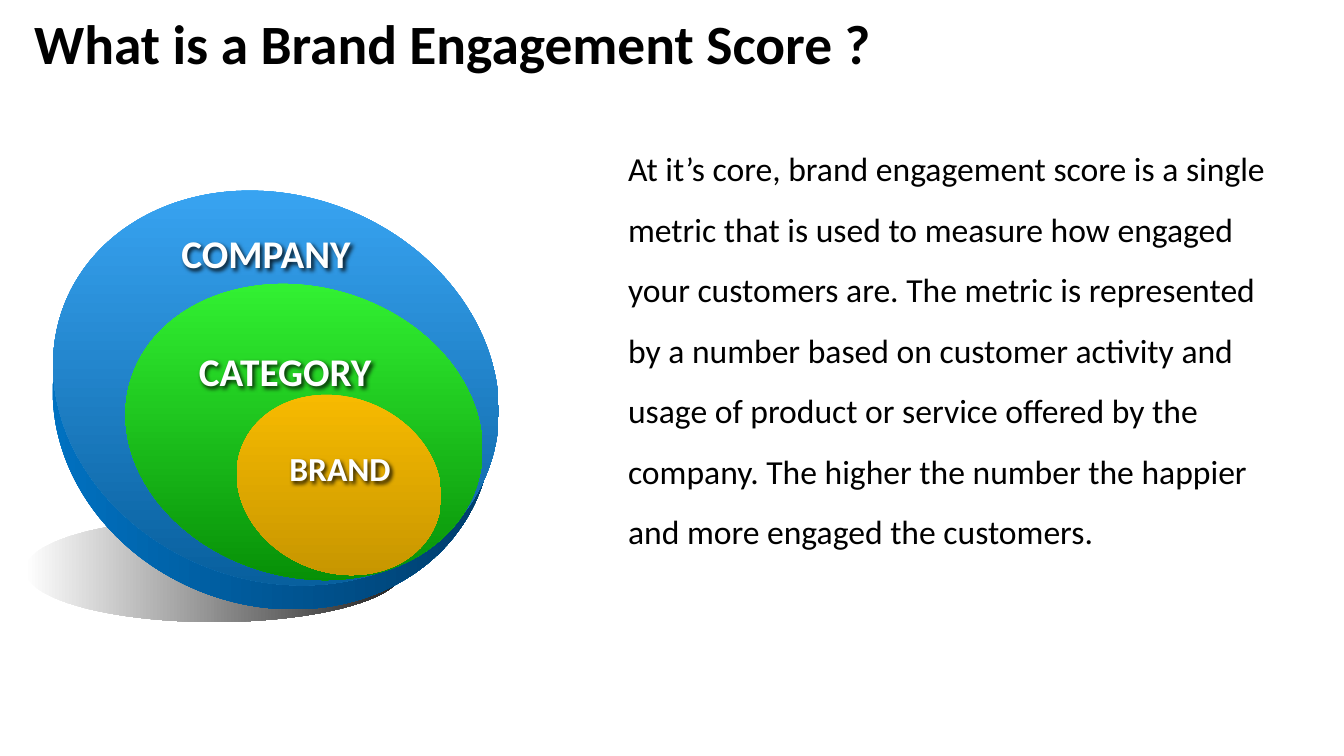
from lxml import etree
from pptx import Presentation
from pptx.dml.color import RGBColor
from pptx.enum.shapes import MSO_SHAPE as Shape
from pptx.enum.text import MSO_ANCHOR as Anchor, MSO_AUTO_SIZE as AutoSize, PP_ALIGN as Align
from pptx.oxml import parse_xml
from pptx.oxml.ns import nsdecls, qn
from pptx.util import Pt

PIXEL = 914400 / 100.8
FONT = "Calibri"
BLACK = RGBColor(0x00, 0x00, 0x00)
WHITE = RGBColor(0xFE, 0xFF, 0xFF)
SHADE = (RGBColor(0xFF, 0xFF, 0xFF), RGBColor(0x20, 0x20, 0x20))
RIM = (RGBColor(0x00, 0x78, 0xCC), RGBColor(0x00, 0x36, 0x60))
BLUE = (RGBColor(0x40, 0xAF, 0xFF), RGBColor(0x00, 0x54, 0x90))
GREEN = (RGBColor(0x38, 0xFE, 0x38), RGBColor(0x01, 0x83, 0x01))
GOLD = (RGBColor(0xFF, 0xC0, 0x00), RGBColor(0xBF, 0x90, 0x00))
LABEL_SHADOW = (
    f'<a:effectLst {nsdecls("a")}><a:outerShdw blurRad="38100" dist="25400" dir="2700000">'
    '<a:srgbClr val="000000"><a:alpha val="80000"/></a:srgbClr></a:outerShdw></a:effectLst>'
)
DEFINITION = (
    "At it’s core, brand engagement score is a single metric that is used to measure "
    "how engaged your customers are. The metric is represented by a number based on "
    "customer activity and usage of product or service offered by the company. The "
    "higher the number the happier and more engaged the customers."
)


def px(value):
    return round(value * PIXEL)


def place(item, box):
    item.left, item.top, item.width, item.height = map(px, box)


def write(item, text, size, color, bold=False, align=Align.LEFT, spacing=1.0):
    frame = item.text_frame
    frame.word_wrap = True
    frame.auto_size = AutoSize.NONE
    para = frame.paragraphs[0]
    para.alignment = align
    para.line_spacing = spacing
    para.space_before = Pt(0)
    span = para.add_run()
    span.text = text
    span.font.size = Pt(size)
    span.font.bold = bold
    span.font.color.rgb = color
    span.font.name = FONT
    return para


def add_ellipse(page, center, size, colors, direction=90, tilt=0):
    (x, y), (width, height) = center, size
    box = (x - width / 2, y - height / 2, width, height)
    ellipse = page.shapes.add_shape(Shape.OVAL, *map(px, box))
    ellipse.shadow.inherit = False
    ellipse.line.fill.background()
    ellipse.rotation = tilt
    ellipse.fill.gradient()
    ellipse.fill.gradient_angle = (tilt - direction) % 360
    for stop, color in zip(ellipse.fill.gradient_stops, colors):
        stop.color.rgb = color


def add_label(page, box, text, size):
    label = page.shapes.add_textbox(*map(px, box))
    write(label, text, size, WHITE, True, Align.CENTER)
    label._element.spPr.append(parse_xml(LABEL_SHADOW))


def add_heading(page, box):
    title = page.shapes.title
    place(title, box)
    title.text_frame.vertical_anchor = Anchor.MIDDLE
    write(title, "What is a Brand Engagement Score ?", 39.6, BLACK, True, spacing=0.9)


def add_definition(page, box):
    body = page.placeholders[1]
    place(body, box)
    para = write(body, DEFINITION, 24, BLACK, spacing=1.5)
    props = para._p.get_or_add_pPr()
    props.set("marL", "0")
    props.set("indent", "0")
    etree.SubElement(props, qn("a:buNone"))


def add_nested_levels(page, box):
    left, top, width, height = box
    add_ellipse(page, (left + 190, top + 379), (378, 104), SHADE, 0)
    discs = [
        ((248, 220), (446, 388), RIM, 0, 22),
        ((252, 197), (455, 384), BLUE, 90, 22),
        ((280, 241), (362, 290), GREEN, 90, 16),
        ((315, 294), (209, 175), GOLD, 90, 22),
    ]
    for (x, y), size, colors, direction, tilt in discs:
        add_ellipse(page, (left + x, top + y), size, colors, direction, tilt)
    labels = [
        ("COMPANY", 91, 33, 302, 57, 28),
        ("CATEGORY", 132, 151, 258, 57, 28),
        ("BRAND", 233, 252, 166, 50, 24),
    ]
    for text, x, y, label_width, label_height, size in labels:
        add_label(page, (left + x, top + y, label_width, label_height), text, size)


deck = Presentation()
deck.slide_width, deck.slide_height = px(1344), px(756)
page = deck.slides.add_slide(deck.slide_layouts[1])
add_nested_levels(page, (24, 191, 475, 432))
add_heading(page, (24, 3, 907, 88))
add_definition(page, (618, 123, 672, 437))
deck.save("out.pptx")
